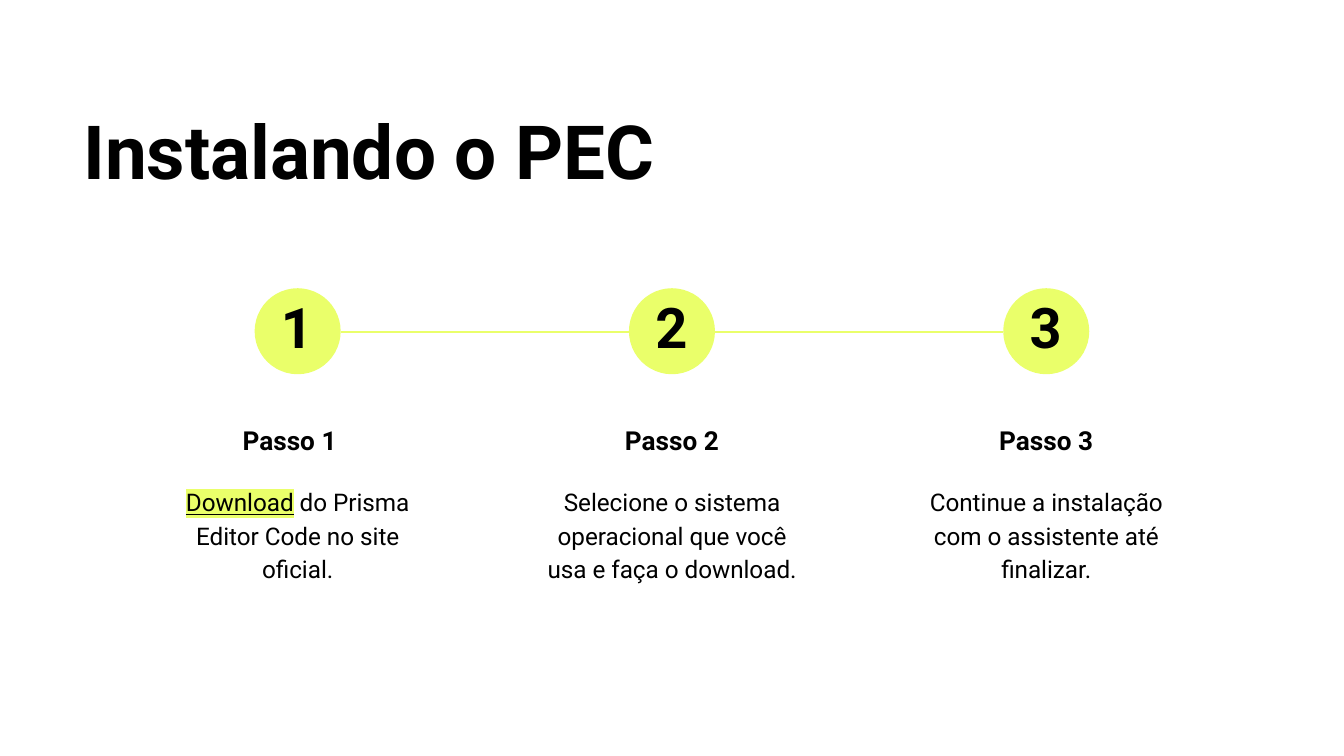
import dataclasses
import typing

import lxml.etree
import pptx
import pptx.dml.color
import pptx.enum.shapes
import pptx.enum.text
import pptx.oxml.ns
import pptx.util

Color = pptx.dml.color.RGBColor
BLACK = Color(0x00, 0x00, 0x00)
WHITE = Color(0xFF, 0xFF, 0xFF)
LIME = Color(0xEA, 0xFF, 0x6A)
FONT = "Roboto"
ALIGN = pptx.enum.text.PP_ALIGN

WIDTH = pptx.util.Inches(10)
HEIGHT = WIDTH * 9 // 16
UNIT = WIDTH / 100
MID = 50
PITCH = 27.85
DISC = 6.4
DISC_TOP = 21.45
LINE_ROW = 24.7


@dataclasses.dataclass(frozen=True)
class Run:
    text: str
    size: float
    bold: bool = False
    under: bool = False
    mark: typing.Optional[Color] = None


@dataclasses.dataclass(frozen=True)
class Box:
    left: float
    top: float
    width: float
    height: float


@dataclasses.dataclass(frozen=True)
class Step:
    label: str
    runs: typing.Tuple[Run, ...]
    shift: float = 0
    depth: float = 11.8


STEPS = (
    Step("Passo 1", (
        Run("Download", 13, under=True, mark=LIME),
        Run(" do Prisma Editor Code no site oficial.", 13, mark=WHITE),
    ), shift=-0.6),
    Step("Passo 2", (
        Run("Selecione o sistema operacional que você usa e faça o download.",
            13, mark=WHITE),
    )),
    Step("Passo 3", (
        Run("Continue a instalação com o assistente até finalizar.",
            13, mark=WHITE),
    ), depth=14.3),
)


def span(cells: float) -> int:
    return round(cells * UNIT)


def place(box: Box) -> typing.Tuple[int, int, int, int]:
    return span(box.left), span(box.top), span(box.width), span(box.height)


def center(mid: float, top: float, width: float, height: float) -> Box:
    return Box(mid - width / 2, top, width, height)


def add_run(par, item: Run) -> None:
    run = par.add_run()
    run.text = item.text
    font = run.font
    font.name = FONT
    font.size = pptx.util.Pt(item.size)
    font.bold = item.bold
    font.underline = item.under
    font.color.rgb = BLACK
    if item.mark is not None:
        qn = pptx.oxml.ns.qn
        mark = lxml.etree.Element(qn("a:highlight"))
        lxml.etree.SubElement(mark, qn("a:srgbClr"), val=str(item.mark))
        run._r.rPr.find(qn("a:solidFill")).addnext(mark)


def fill_text(shape, runs: typing.Sequence[Run], align, space: float) -> None:
    frame = shape.text_frame
    frame.word_wrap = True
    frame.auto_size = pptx.enum.text.MSO_AUTO_SIZE.SHAPE_TO_FIT_TEXT
    frame.vertical_anchor = pptx.enum.text.MSO_ANCHOR.TOP
    inset = pptx.util.Inches(0.1)
    frame.margin_left = frame.margin_right = inset
    frame.margin_top = frame.margin_bottom = inset
    par = frame.paragraphs[0]
    par.alignment = align
    par.line_spacing = space
    par.space_before = pptx.util.Pt(0)
    for item in runs:
        add_run(par, item)


def add_text(slide, box: Box, runs: typing.Sequence[Run], space: float) -> None:
    fill_text(slide.shapes.add_textbox(*place(box)), runs, ALIGN.CENTER, space)


def add_title(slide, text: str) -> None:
    title = slide.shapes.title
    title.left, title.top, title.width, title.height = place(
        Box(5.2, 6.8, 89, 8.8))
    fill_text(title, [Run(text, 40, bold=True)], ALIGN.LEFT, 1.0)


def add_disc(slide, mid: float) -> None:
    disc = slide.shapes.add_shape(
        pptx.enum.shapes.MSO_SHAPE.OVAL,
        *place(center(mid, DISC_TOP, DISC, DISC)))
    disc.shadow.inherit = False
    disc.fill.solid()
    disc.fill.fore_color.rgb = LIME
    disc.line.fill.background()


def add_link(slide, start: float, end: float) -> None:
    row = span(LINE_ROW)
    link = slide.shapes.add_connector(
        pptx.enum.shapes.MSO_CONNECTOR.STRAIGHT,
        span(start), row, span(end), row)
    link.line.color.rgb = LIME
    link.line.width = pptx.util.Pt(0.75)
    lxml.etree.SubElement(
        link._element.spPr, pptx.oxml.ns.qn("a:effectLst"))


def add_step(slide, index: int, step: Step) -> None:
    mid = MID + (index - 1) * PITCH
    add_disc(slide, mid)
    add_text(slide, center(mid - 0.05, 21.35, 4.5, 6.6),
             [Run(str(index + 1), 30, bold=True)], 0.9)
    add_text(slide, center(mid + step.shift, 30.25, 21.4, 4.4),
             [Run(step.label, 14, bold=True)], 1.15)
    add_text(slide, center(mid, 34.95, 21.3, step.depth), step.runs, 1.15)
    if index:
        add_link(slide, mid - PITCH + DISC / 2, mid - DISC / 2)


def main() -> None:
    deck = pptx.Presentation()
    deck.slide_width = WIDTH
    deck.slide_height = HEIGHT
    slide = deck.slides.add_slide(deck.slide_layouts[5])
    slide.background.fill.solid()
    slide.background.fill.fore_color.rgb = WHITE
    add_title(slide, "Instalando o PEC")
    for index, step in enumerate(STEPS):
        add_step(slide, index, step)
    deck.save("out.pptx")


if __name__ == "__main__":
    main()
